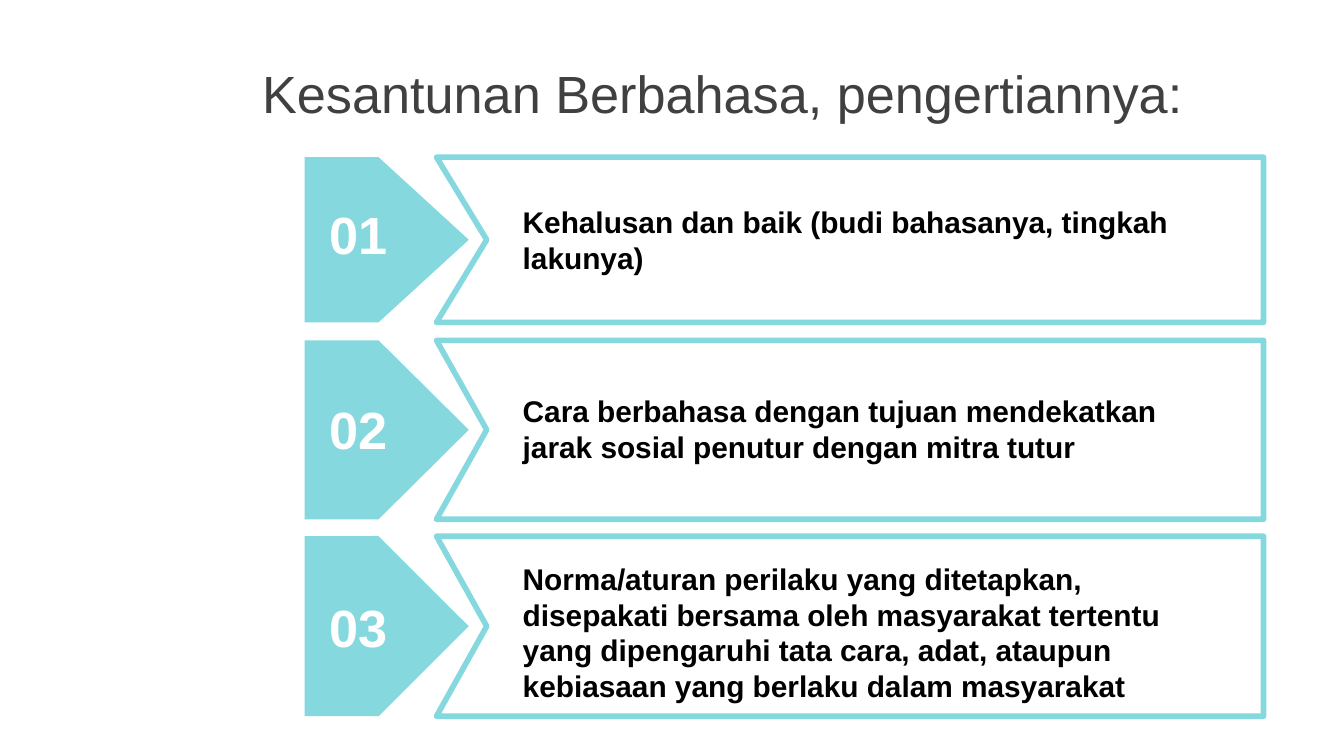
from lxml import etree
from pptx import Presentation
from pptx.dml.color import RGBColor
from pptx.enum.shapes import MSO_SHAPE
from pptx.enum.text import MSO_ANCHOR, PP_ALIGN
from pptx.oxml.ns import qn
from pptx.util import Cm, Pt

PENTAGON = MSO_SHAPE.PENTAGON
MIDDLE, TOP = MSO_ANCHOR.MIDDLE, MSO_ANCHOR.TOP
LEFT = PP_ALIGN.LEFT
TEAL, WHITE, BLACK, GREY = "85D8DE", "FFFFFF", "000000", "404040"


def color(hex_string):
    return RGBColor.from_string(hex_string)


def write(box, text, size, hex_string, bold, anchor):
    """Fill a box with one left-aligned, wrapped paragraph."""
    frame = box.text_frame
    frame.word_wrap = True
    frame.vertical_anchor = anchor
    para = frame.paragraphs[0]
    para.alignment = LEFT
    span = para.add_run()
    span.text = text
    span.font.name = "Arial"
    span.font.size = Pt(size)
    span.font.bold = bold
    span.font.color.rgb = color(hex_string)


deck = Presentation()
deck.slide_width, deck.slide_height = Cm(25.4), Cm(14.28)
page = deck.slides.add_slide(deck.slide_layouts[5])

title = page.shapes.title
title.left, title.top, title.width, title.height = Cm(4.7), Cm(0.94), Cm(18.7), Cm(1.6)
write(title, "Kesantunan Berbahasa, pengertiannya:", 28, GREY, False, MIDDLE)

# Row top and height, number top, text top and height (cm), text
rows = [
    (2.97, 3.12, 3.81, 3.73, 1.63,
     "Kehalusan dan baik (budi bahasanya, tingkah lakunya)"),
    (6.43, 3.38, 7.49, 7.29, 1.63,
     "Cara berbahasa dengan tujuan mendekatkan jarak sosial penutur dengan mitra tutur"),
    (10.13, 3.4, 11.23, 10.46, 3.0,
     "Norma/aturan perilaku yang ditetapkan, disepakati bersama oleh masyarakat tertentu "
     "yang dipengaruhi tata cara, adat, ataupun kebiasaan yang berlaku dalam masyarakat"),
]
frame_left, frame_right, notch = 8.25, 23.88, 9.2

for index, (top, height, number_top, text_top, text_height, text) in enumerate(rows, 1):
    arrow = page.shapes.add_shape(PENTAGON, Cm(5.76), Cm(top), Cm(3.1), Cm(height))
    arrow.adjustments[0] = 0.55
    arrow.shadow.inherit = False
    arrow.fill.solid()
    arrow.fill.fore_color.rgb = color(TEAL)
    arrow.line.fill.background()

    bottom = top + height
    corners = [(frame_right, top), (frame_right, bottom), (frame_left, bottom),
               (notch, top + height / 2)]
    builder = page.shapes.build_freeform(Cm(frame_left), Cm(top))
    builder.add_line_segments([(Cm(x), Cm(y)) for x, y in corners], close=True)
    panel = builder.convert_to_shape()
    panel.shadow.inherit = False
    panel.fill.solid()
    panel.fill.fore_color.rgb = color(WHITE)
    panel.line.color.rgb = color(TEAL)
    panel.line.width = Pt(3)
    etree.SubElement(panel.line._get_or_add_ln(), qn("a:round"))

    number = page.shapes.add_textbox(Cm(5.97), Cm(number_top), Cm(1.68), Cm(1.2))
    number.text_frame.margin_top = number.text_frame.margin_bottom = 0
    write(number, f"{index:02}", 28, WHITE, True, MIDDLE)

    meaning = page.shapes.add_textbox(Cm(9.63), Cm(text_top), Cm(13.46), Cm(text_height))
    write(meaning, text, 16, BLACK, True, TOP)

deck.save("out.pptx")
